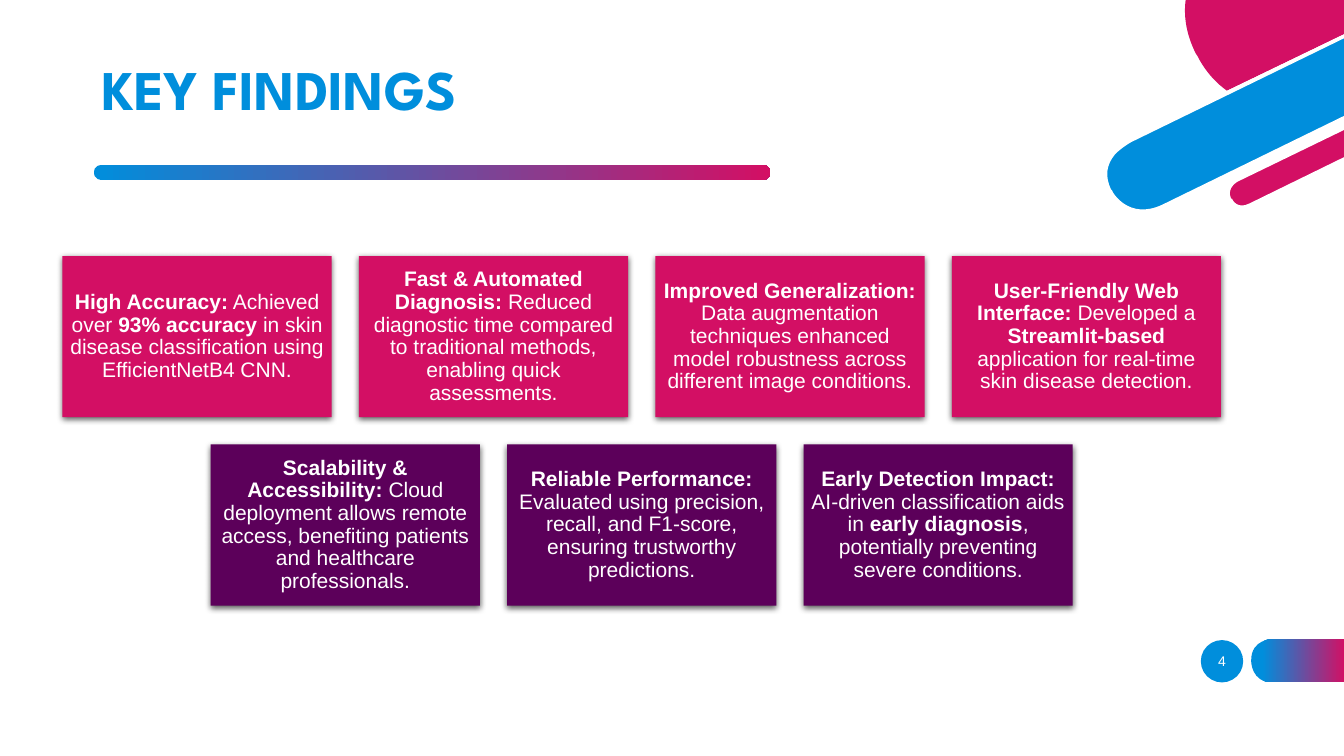
import lxml.etree
import pptx
import pptx.dml.color
import pptx.enum.shapes
import pptx.enum.text
import pptx.oxml
import pptx.oxml.ns
import pptx.util

COLORS = {"blue": "008EDC", "pink": "D30F64", "purple": "5C005A",
          "white": "FFFFFF", "shadow": "000000"}
SHAPES = pptx.enum.shapes.MSO_SHAPE
MIDDLE = pptx.enum.text.MSO_ANCHOR.MIDDLE
CENTER = pptx.enum.text.PP_ALIGN.CENTER
inch = pptx.util.Inches
qn = pptx.oxml.ns.qn

# Outlines in inches from the corner of their box: pairs are line ends,
# sixes are two control points and a curve end.
CORNER = [
    ("white", [(2.4, .81), (2.13, .94), (1.81, 1.1, 1.51, 1.08, 1.26, .89),
               (1.06, .74, .96, .55, .96, .55), (.95, .52),
               (.86, .34, .82, .16, .85, 0), (.81, 0),
               (.78, .17, .82, .35, .91, .54), (.93, .57),
               (.93, .58, 1.03, .77, 1.23, .92),
               (1.35, 1.01, 1.51, 1.09, 1.72, 1.09),
               (1.84, 1.09, 1.98, 1.06, 2.15, .98), (2.4, .86)]),
    ("blue", [(.28, 1.39), (.28, 1.39, -.08, 1.57, .08, 1.89), (.08, 1.9),
              (.08, 1.9, .24, 2.22, .61, 2.04), (2.4, 1.17), (2.4, .36)]),
    ("pink", [(.95, .56), (.95, .56, 1.04, .76, 1.24, .9), (2.4, .34),
              (2.4, 0), (.83, 0), (.81, .15, .83, .33, .93, .53)]),
    ("pink", [(2.4, 1.26), (1.34, 1.78), (1.34, 1.78, 1.2, 1.85, 1.27, 1.97),
              (1.27, 1.98), (1.27, 1.98, 1.33, 2.11, 1.47, 2.04), (2.4, 1.58)]),
    ("white", [(1.46, 2.02), (1.34, 2.08, 1.29, 1.98, 1.29, 1.97), (1.28, 1.97),
               (1.23, 1.86, 1.35, 1.8, 1.35, 1.8), (2.4, 1.29), (2.4, 1.24),
               (1.33, 1.76), (1.33, 1.76, 1.26, 1.8, 1.24, 1.87),
               (1.22, 1.91, 1.23, 1.95, 1.25, 1.99),
               (1.27, 2.03, 1.32, 2.08, 1.39, 2.08),
               (1.42, 2.08, 1.45, 2.08, 1.48, 2.06), (2.4, 1.61), (2.4, 1.56)]),
    ("white", [(.6, 2.03), (.26, 2.19, .1, 1.9, .1, 1.89), (.09, 1.88),
               (.03, 1.75, .04, 1.64, .13, 1.53),
               (.2, 1.46, .29, 1.41, .29, 1.41), (2.4, .38), (2.4, .34),
               (.27, 1.37), (.26, 1.38, .09, 1.46, .03, 1.63),
               (0, 1.71, .01, 1.8, .06, 1.9), (.06, 1.91),
               (.06, 1.91, .17, 2.12, .4, 2.12),
               (.46, 2.12, .53, 2.1, .61, 2.06), (2.4, 1.19), (2.4, 1.15)]),
]
PILL = [(.21, .43), (.93, .43), (.93, 0), (.21, 0), (.21, 0, 0, 0, 0, .21),
        (0, .22), (0, .22, 0, .43, .21, .43)]

# Each text alternates bold and regular runs, starting with bold.
FINDINGS = [
    ("pink", [
        ["High Accuracy:", " Achieved over ", "93% accuracy",
         " in skin disease classification using EfficientNetB4 CNN."],
        ["Fast & Automated Diagnosis:", " Reduced diagnostic time compared to "
         "traditional methods, enabling quick assessments."],
        ["Improved Generalization:", " Data augmentation techniques enhanced "
         "model robustness across different image conditions."],
        ["User-Friendly Web Interface:", " Developed a ", "Streamlit-based",
         " application for real-time skin disease detection."]]),
    ("purple", [
        ["Scalability & Accessibility:", " Cloud deployment allows remote "
         "access, benefiting patients and healthcare professionals."],
        ["Reliable Performance:", " Evaluated using precision, recall, and "
         "F1-score, ensuring trustworthy predictions."],
        ["Early Detection Impact:", " AI-driven classification aids in ",
         "early diagnosis", ", potentially preventing severe conditions."]]),
]


def rgb(name):
    return pptx.dml.color.RGBColor.from_string(COLORS[name])


def fill_blend(fill, start=0):
    """Blend from blue to pink, left to right."""
    fill.gradient()
    fill.gradient_angle = 0
    for stop, name, position in zip(fill.gradient_stops, ("blue", "pink"), (start, 1)):
        stop.color.rgb = rgb(name)
        stop.position = position


def finish(sp, color=None, start=0):
    """Fill with a colour, or with the blend if none, and drop line and shadow."""
    if color:
        sp.fill.solid()
        sp.fill.fore_color.rgb = rgb(color)
    else:
        fill_blend(sp.fill, start)
    sp.line.fill.background()
    sp.shadow.inherit = False
    return sp


def add_preset(s, kind, box, color=None):
    return finish(s.shapes.add_shape(kind, *map(inch, box)), color)


def add_outline(s, left, top, outline, color=None, start=0):
    """Draw the part ends as a polygon, then bend the sides that are curves."""
    ends = [(inch(left + part[-2]), inch(top + part[-1])) for part in outline]
    builder = s.shapes.build_freeform(*ends[0])
    builder.add_line_segments(ends[1:])
    sp = builder.convert_to_shape()
    sides = list(sp._element.iter(qn("a:lnTo")))
    for side, part in zip(sides, outline[1:]):
        if len(part) == 6:
            side.tag = qn("a:cubicBezTo")
            for i in (0, 1):
                x, y = part[2 * i:2 * i + 2]
                side.insert(i, lxml.etree.Element(
                    qn("a:pt"), x=str(inch(left + x) - sp.left),
                    y=str(inch(top + y) - sp.top)))
    return finish(sp, color, start)


def set_frame(sp, inset):
    tf = sp.text_frame
    tf.word_wrap = True
    tf.vertical_anchor = MIDDLE
    tf.margin_left = tf.margin_right = tf.margin_top = tf.margin_bottom = inch(inset)
    return tf.paragraphs[0]


def add_run(p, text, size, font="Arial", bold=False):
    r = p.add_run()
    r.text = text
    r.font.size = pptx.util.Pt(size)
    r.font.name = font
    r.font.bold = bold
    r.font.color.rgb = rgb("white")
    return r


def add_corner(s, left, top):
    for color, outline in CORNER:
        add_outline(s, left, top, outline, color)


def add_heading(s, left, top, width, height, text):
    bar = add_preset(s, SHAPES.ROUNDED_RECTANGLE,
                     (left + .01, top + 1.2 * height, 6.71, .15))
    bar.adjustments[0] = .5
    sp = s.shapes.add_textbox(*map(inch, (left, top, width, height)))
    p = set_frame(sp, .1)
    p.line_spacing = .9
    r = add_run(p, text, 40, "League Spartan", True)
    fill_blend(r.font.fill)


def add_card(s, box, color, texts):
    sp = add_preset(s, SHAPES.RECTANGLE, box, color)
    effects = sp._element.spPr.find(qn("a:effectLst"))
    effects.append(pptx.oxml.parse_xml(
        f'<a:outerShdw {pptx.oxml.ns.nsdecls("a")} blurRad="57150" dist="19050" '
        f'dir="5400000" algn="ctr" rotWithShape="0"><a:srgbClr val="{COLORS["shadow"]}">'
        '<a:alpha val="63000"/></a:srgbClr></a:outerShdw>'))
    p = set_frame(sp, .06)
    p.alignment = CENTER
    p.line_spacing = .9
    for i, text in enumerate(texts):
        add_run(p, text, 15, bold=i % 2 == 0)


def add_findings(s, left, top, width, height, gap=.27):
    """Lay out the rows of cards, each row centred in the box."""
    columns = max(len(cards) for _, cards in FINDINGS)
    card_w = (width - gap * (columns - 1)) / columns
    card_h = (height - gap * (len(FINDINGS) - 1)) / len(FINDINGS)
    for row, (color, cards) in enumerate(FINDINGS):
        indent = (columns - len(cards)) / 2
        for column, texts in enumerate(cards):
            add_card(s, (left + (indent + column) * (card_w + gap),
                         top + row * (card_h + gap), card_w, card_h), color, texts)


def add_page_number(s, left, top, size, number):
    sp = add_preset(s, SHAPES.OVAL, (left, top, size, size), "blue")
    p = set_frame(sp, 0)
    p.alignment = CENTER
    add_run(p, number, 10)
    add_outline(s, left + 1.19 * size, top - .01, PILL, start=.12)


def main():
    prs = pptx.Presentation()
    prs.slide_width, prs.slide_height = inch(13.33), inch(7.5)
    s = prs.slides.add_slide(prs.slide_layouts[6])
    add_page_number(s, 11.91, 6.35, .42, "4")
    add_corner(s, 10.93, 0)
    add_heading(s, .92, .4, 9.9, 1.03, "KEY FINDINGS")
    add_findings(s, .62, 2.54, 11.49, 3.47)
    prs.save("out.pptx")


if __name__ == "__main__":
    main()
